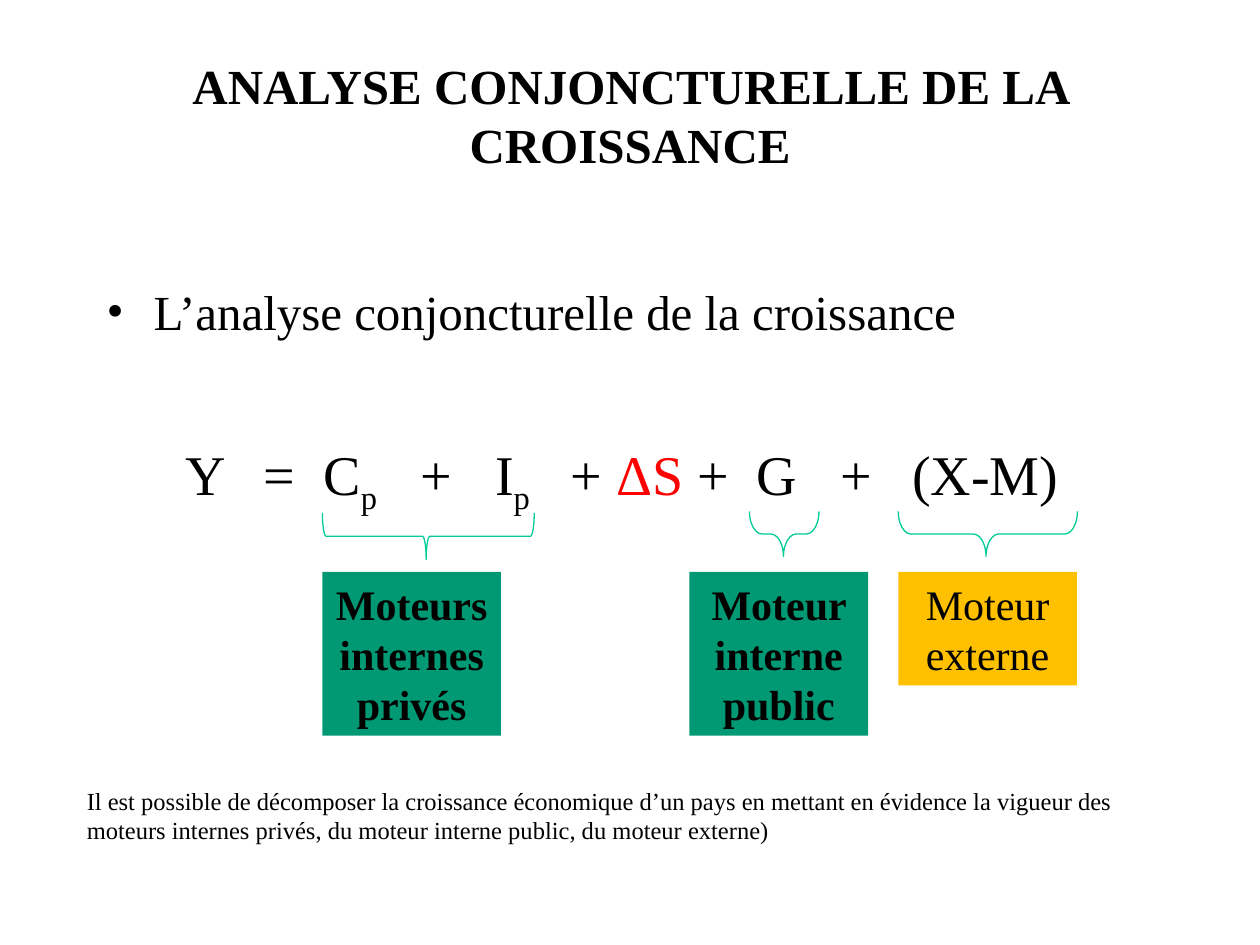
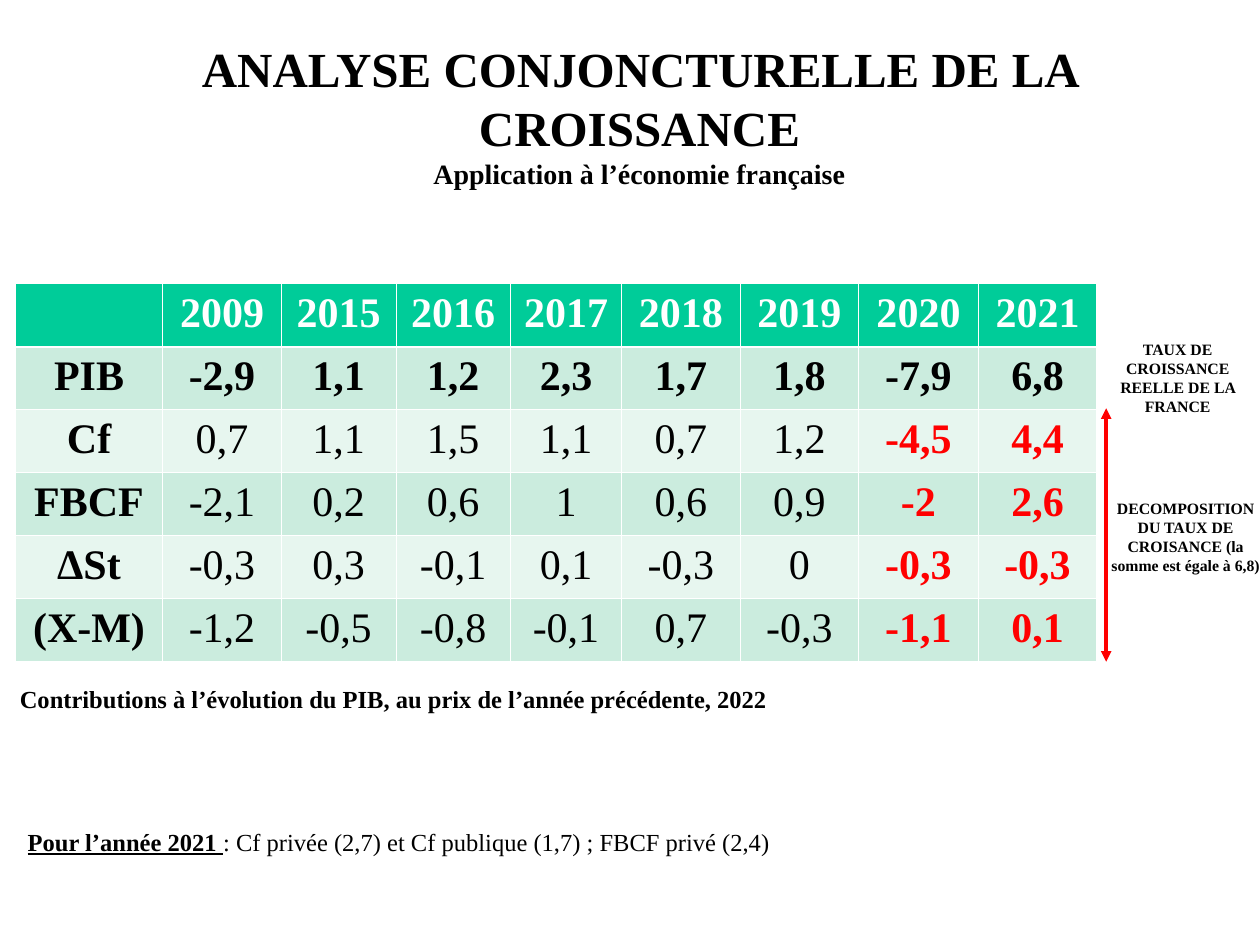
from lxml import etree
from pptx import Presentation
from pptx import util as u
from pptx.dml.color import RGBColor
from pptx.enum import shapes, text
from pptx.oxml import ns

Cm, Pt = u.Cm, u.Pt

FONT = "Times New Roman"
BLACK = RGBColor(0x00, 0x00, 0x00)
WHITE = RGBColor(0xFF, 0xFF, 0xFF)
RED = RGBColor(0xFF, 0x00, 0x00)
BRACE_GREEN = RGBColor(0x00, 0xCC, 0x98)
HEADER_GREEN = RGBColor(0x00, 0xCC, 0x99)
INTERNAL_GREEN = RGBColor(0x00, 0x99, 0x73)
EXTERNAL_AMBER = RGBColor(0xFF, 0xC0, 0x00)
BAND_DARK = RGBColor(0xCB, 0xEC, 0xDE)
BAND_LIGHT = RGBColor(0xE7, 0xF6, 0xEF)

CENTER = text.PP_ALIGN.CENTER
LEFT = text.PP_ALIGN.LEFT
TITLE = "ANALYSE CONJONCTURELLE DE LA CROISSANCE"

YEARS = ["", "2009", "2015", "2016", "2017", "2018", "2019", "2020", "2021"]
CONTRIBUTIONS = [
    ["PIB", "-2,9", "1,1", "1,2", "2,3", "1,7", "1,8", "-7,9", "6,8"],
    ["Cf", "0,7", "1,1", "1,5", "1,1", "0,7", "1,2", "-4,5", "4,4"],
    ["FBCF", "-2,1", "0,2", "0,6", "1", "0,6", "0,9", "-2", "2,6"],
    ["ΔSt", "-0,3", "0,3", "-0,1", "0,1", "-0,3", "0", "-0,3", "-0,3"],
    ["(X-M)", "-1,2", "-0,5", "-0,8", "-0,1", "0,7", "-0,3", "-1,1", "0,1"],
]
COLUMN_WIDTHS = [2.97, 2.39, 2.31, 2.31, 2.24, 2.39, 2.39, 2.41, 2.39]


# Shared helpers
def cm_box(box):
    return [Cm(length) for length in box]


def add_child(parent, tag, **attributes):
    child = etree.SubElement(parent, ns.qn(tag))
    for name, value in attributes.items():
        child.set(name, str(value))
    return child


def add_run(paragraph, words, size, color=BLACK, bold=False, underline=False):
    run = paragraph.add_run()
    run.text = words
    font = run.font
    font.name, font.size, font.bold, font.underline = FONT, Pt(size), bold, underline
    font.color.rgb = color
    return run


def add_text(slide, box, align=LEFT):
    frame = slide.shapes.add_textbox(*cm_box(box)).text_frame
    frame.word_wrap = True
    paragraph = frame.paragraphs[0]
    paragraph.alignment = align
    return paragraph


def add_title_slide(deck, box, subtitle=None):
    slide = deck.slides.add_slide(deck.slide_layouts[5])
    title = slide.shapes.title
    title.left, title.top, title.width, title.height = cm_box(box)
    frame = title.text_frame
    frame.auto_size = text.MSO_AUTO_SIZE.NONE
    frame.vertical_anchor = text.MSO_ANCHOR.MIDDLE
    heading = frame.paragraphs[0]
    heading.alignment = CENTER
    add_run(heading, TITLE, 28, bold=True)
    if subtitle:
        heading.add_line_break()
        add_run(heading, subtitle, 16, bold=True)
    return slide


# Growth equation
def add_bullet_line(slide, box, words):
    paragraph = add_text(slide, box)
    properties = paragraph._p.get_or_add_pPr()
    properties.set("marL", str(Cm(0.95)))
    properties.set("indent", str(-Cm(0.95)))
    add_child(properties, "a:buFont", typeface=FONT)
    add_child(properties, "a:buChar", char="•")
    add_run(paragraph, words, 28)


def add_equation(slide, box):
    paragraph = add_text(slide, box)
    stops = add_child(paragraph._p.get_or_add_pPr(), "a:tabLst")
    for position in (1.57, 2.77, 4.73, 6.23, 7.76, 11.5, 13.2, 14.64):
        add_child(stops, "a:tab", pos=Cm(position), algn="l")
    for words, color, baseline in (
        ("Y\t=\tC", BLACK, 0), ("p", BLACK, -25000),
        ("\t+\tI", BLACK, 0), ("p", BLACK, -25000),
        ("\t+ ", BLACK, 0), ("ΔS", RED, 0), (" +\tG\t+\t(X-M)", BLACK, 0),
    ):
        run = add_run(paragraph, words, 32, color)
        if baseline:
            run.font._element.set("baseline", str(baseline))


def add_brace(slide, box, curl):
    """Draw a brace that opens upwards and fills the box."""
    left, top, width, height = box
    brace = slide.shapes.add_shape(
        shapes.MSO_SHAPE.LEFT_BRACE,
        Cm(left + (width - height) / 2), Cm(top + (height - width) / 2),
        Cm(height), Cm(width))
    brace.rotation = 270
    brace.adjustments[0], brace.adjustments[1] = curl, 0.49
    brace.shadow.inherit = False
    brace.fill.background()
    brace.line.color.rgb = BRACE_GREEN
    brace.line.width = Pt(0.75)


def add_engine(slide, box, words, color, bold):
    engine = slide.shapes.add_shape(shapes.MSO_SHAPE.RECTANGLE, *cm_box(box))
    engine.shadow.inherit = False
    engine.fill.solid()
    engine.fill.fore_color.rgb = color
    engine.line.fill.background()
    frame = engine.text_frame
    frame.word_wrap = True
    frame.vertical_anchor = text.MSO_ANCHOR.TOP
    frame.margin_left = frame.margin_right = Cm(0.2)
    frame.paragraphs[0].alignment = CENTER
    add_run(frame.paragraphs[0], words, 24, bold=bold)


def build_equation_slide(deck):
    slide = add_title_slide(deck, (1.9, 0.71, 21.6, 3.18))
    add_bullet_line(slide, (1.9, 5.56, 21.6, 1.63),
                    "L’analyse conjoncturelle de la croissance")
    add_equation(slide, (3.5, 8.74, 19.41, 1.8))

    for brace_box, curl in (((6.5, 10.34, 4.27, 0.94), 0.08),
                            ((15.11, 10.31, 1.4, 0.91), 0.28),
                            ((18.11, 10.31, 3.61, 0.91), 0.28)):
        add_brace(slide, brace_box, curl)

    for left, height, words, color, bold in (
        (6.5, 3.3, "Moteurs internes privés", INTERNAL_GREEN, True),
        (13.9, 3.3, "Moteur interne public", INTERNAL_GREEN, True),
        (18.11, 2.29, "Moteur externe", EXTERNAL_AMBER, False),
    ):
        add_engine(slide, (left, 11.53, 3.6, height), words, color, bold)

    add_run(add_text(slide, (1.5, 15.72, 22.6, 1.45)),
            "Il est possible de décomposer la croissance économique d’un pays "
            "en mettant en évidence la vigueur des moteurs internes privés, "
            "du moteur interne public, du moteur externe)", 14)


# Contributions table
def set_borders(cell, top, bottom):
    properties = cell._tc.get_or_add_tcPr()
    widths = {"a:lnL": 0.45, "a:lnR": 0.45, "a:lnT": top, "a:lnB": bottom}
    for index, (tag, width) in enumerate(widths.items()):
        edge = add_child(properties, tag, w=Pt(width))
        add_child(add_child(edge, "a:solidFill"), "a:srgbClr", val=WHITE)
        properties.insert(index, edge)


def cell_style(row, column):
    """Return the text colour and weight of a table cell."""
    if row == 0:
        return WHITE, True
    if row > 1 and YEARS[column] in ("2020", "2021"):
        return RED, True
    return BLACK, row == 1 or column == 0


def add_contributions(slide, left, top, row_height):
    rows = [YEARS] + CONTRIBUTIONS
    table = slide.shapes.add_table(
        len(rows), len(YEARS), Cm(left), Cm(top),
        Cm(sum(COLUMN_WIDTHS)), Cm(row_height * len(rows))).table
    for column, width in zip(table.columns, COLUMN_WIDTHS):
        column.width = Cm(width)
    for r, values in enumerate(rows):
        table.rows[r].height = Cm(row_height)
        band = HEADER_GREEN if r == 0 else BAND_DARK if r % 2 else BAND_LIGHT
        for c, value in enumerate(values):
            cell = table.cell(r, c)
            cell.fill.solid()
            cell.fill.fore_color.rgb = band
            set_borders(cell, 1.5 if r == 1 else 0.45, 1.5 if r == 0 else 0.45)
            paragraph = cell.text_frame.paragraphs[0]
            paragraph.alignment = CENTER
            if value:
                color, bold = cell_style(r, c)
                add_run(paragraph, value, 24, color, bold)


def add_span_arrow(slide, x, top, bottom):
    arrow = slide.shapes.add_connector(
        shapes.MSO_CONNECTOR.STRAIGHT, Cm(x), Cm(top), Cm(x), Cm(bottom))
    arrow.line.color.rgb = RED
    arrow.line.width = Pt(2)
    for end in ("a:headEnd", "a:tailEnd"):
        add_child(arrow.line._get_or_add_ln(), end, type="triangle")
    add_child(arrow._element.spPr, "a:effectLst")


def build_application_slide(deck):
    slide = add_title_slide(deck, (0.69, 0.71, 24.4, 3.18),
                            "Application à l’économie française")
    add_contributions(slide, 0.31, 5.72, 1.27)

    # Captions around the table
    for box, words, size in (
        ((-0.3, 13.67, 16.48, 0.86),
         "Contributions à l’évolution du PIB, au prix de l’année précédente, 2022", 14),
        ((21.84, 6.73, 3.8, 1.78), "TAUX DE CROISSANCE REELLE DE LA FRANCE", 9),
        ((22.1, 9.93, 3.6, 1.78),
         "DECOMPOSITION DU TAUX DE CROISANCE (la somme est égale à 6,8)", 9),
    ):
        add_run(add_text(slide, box, CENTER), words, size, bold=True)
    add_span_arrow(slide, 22.3, 8.23, 13.34)

    detail = add_text(slide, (0.31, 16.54, 16.2, 0.86))
    add_run(detail, "Pour l’année 2021 ", 14, bold=True, underline=True)
    add_run(detail, ": Cf privée (2,7) et Cf publique (1,7) ; FBCF privé (2,4)", 14)


def main():
    deck = Presentation()
    deck.slide_width, deck.slide_height = Cm(25.4), Cm(19.05)
    build_equation_slide(deck)
    build_application_slide(deck)
    deck.save("out.pptx")


if __name__ == "__main__":
    main()
